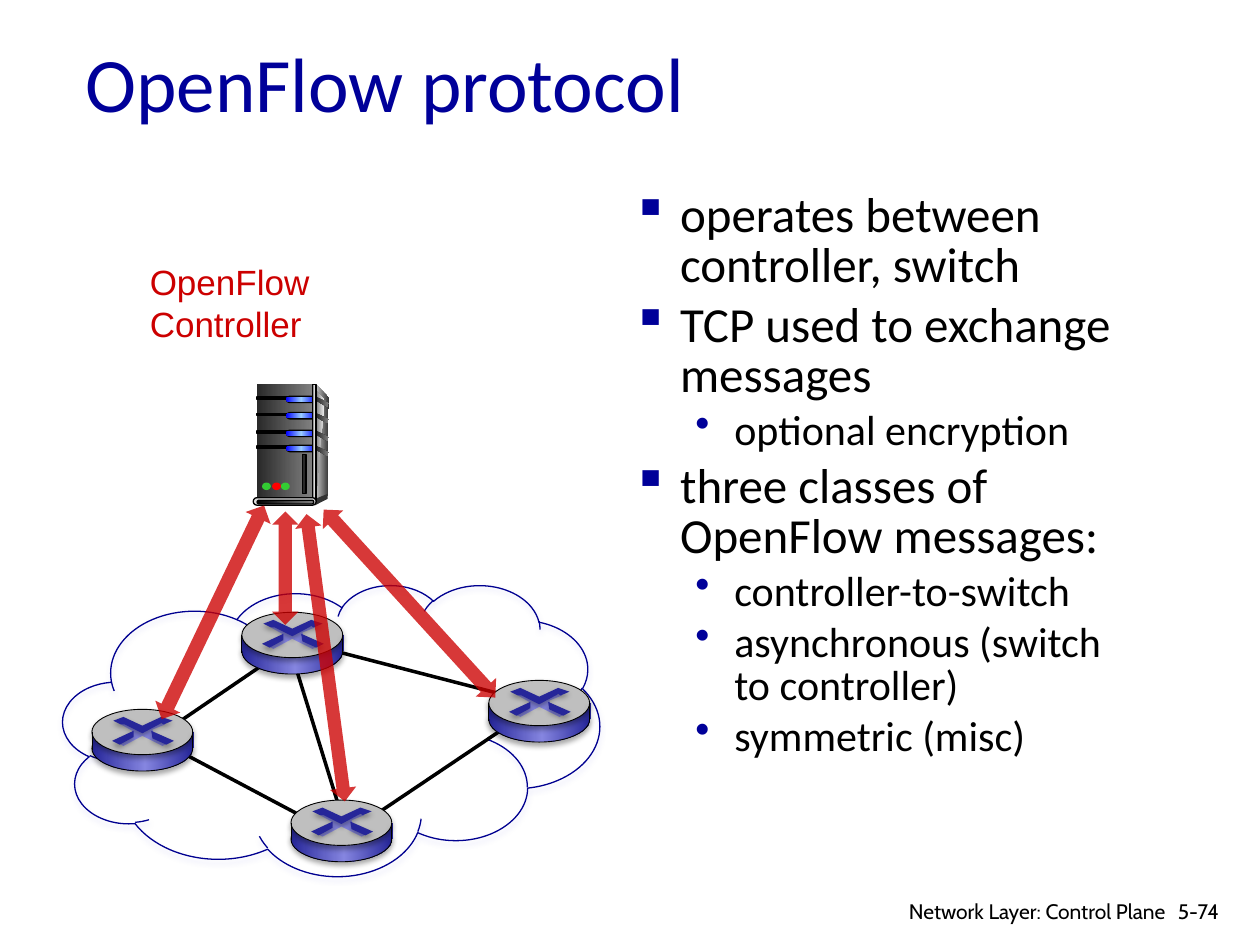
import pptx
import pptx.util
import pptx.dml.color
import pptx.enum.shapes
import pptx.enum.text
import pptx.oxml.ns
from lxml import etree

Inches = pptx.util.Inches
Pt = pptx.util.Pt
RGBColor = pptx.dml.color.RGBColor
qn = pptx.oxml.ns.qn
SHAPE = pptx.enum.shapes.MSO_SHAPE
ALIGN = pptx.enum.text.PP_ALIGN
ANCHOR = pptx.enum.text.MSO_ANCHOR

NAVY = RGBColor(0x00, 0x00, 0x99)
OUTLINE = RGBColor(0x00, 0x00, 0x90)
BLACK = RGBColor(0x00, 0x00, 0x00)
RED = RGBColor(0xCC, 0x00, 0x00)
ROUTER_DARK = RGBColor(0x26, 0x26, 0x99)
ROUTER_LIGHT = RGBColor(0x85, 0x85, 0xE0)
ROUTER_TOP = RGBColor(0xBF, 0xBF, 0xBF)
CLOUD_SHADOW = RGBColor(0xA5, 0xA5, 0xE9)
CHARCOAL = RGBColor(0x29, 0x29, 0x29)
DARK_GRAY = RGBColor(0x33, 0x33, 0x33)
GRAY = RGBColor(0x80, 0x80, 0x80)
SILVER = RGBColor(0xDD, 0xDD, 0xDD)
PALE = RGBColor(0xF8, 0xF8, 0xF8)
BLUE = RGBColor(0x00, 0x00, 0xFF)
SKY = RGBColor(0x99, 0xCC, 0xFF)
GREEN = RGBColor(0x33, 0xCC, 0x33)
LED_RED = RGBColor(0xFF, 0x00, 0x00)

# Gradients: (position in percent, colour)
FACE = [(0, CHARCOAL), (100, GRAY)]
ROUTER_SIDE = [(0, ROUTER_DARK), (53, ROUTER_LIGHT), (100, ROUTER_DARK)]
LIGHT_BAR = [(0, BLUE), (50, SKY), (100, BLUE)]
EDGE = [(0, DARK_GRAY), (50, SILVER), (100, DARK_GRAY)]

# Content: (level, text)
BULLETS = [
    (0, "operates between controller, switch"),
    (0, "TCP used to exchange messages"),
    (1, "optional encryption"),
    (0, "three classes of OpenFlow messages:"),
    (1, "controller-to-switch"),
    (1, "asynchronous (switch to controller)"),
    (1, "symmetric (misc)"),
]
LEVELS = [
    {"mark": "▪", "size": 28, "left": 0.38, "hang": 0.38},
    {"mark": "•", "size": 24, "left": 0.81, "hang": 0.31},
]
LABELS = [  # text, box, wrap, alignment, anchor, font
    ("OpenFlow protocol", (0.58, 0.02, 8.5, 1.25), True, ALIGN.LEFT, ANCHOR.MIDDLE,
     {"name": "Calibri", "size": Pt(44), "color": NAVY}),
    ("OpenFlow\vController", (1.09, 2.02, 2.69, 0.76), False, ALIGN.LEFT, ANCHOR.TOP,
     {"name": "Arial", "size": Pt(20), "color": RED}),
    ("5-74", (9.25, 7.08, 0.6, 0.3), True, ALIGN.LEFT, ANCHOR.TOP,
     {"name": "Cabin", "size": Pt(12), "color": BLACK}),
    ("Network Layer: Control Plane", (6.97, 7.08, 2.38, 0.26), True, ALIGN.RIGHT, ANCHOR.TOP,
     {"name": "Cabin", "size": Pt(12), "color": BLACK}),
]
LINKS = [(1.23, 5.86, 2.55, 4.96), (1.23, 5.86, 2.55, 6.56), (2.33, 5.24, 2.68, 6.37),
         (2.63, 5.16, 4.06, 5.53), (2.84, 6.56, 4.06, 5.74)]
ROUTERS = [(2.31, 6.35), (3.88, 5.40), (0.73, 5.63), (1.92, 4.86)]
ROUTER_MARKS = [  # points from the router's corner, colour, shadow
    ([(0.4, 0.21), (0.25, 0.29), (0.21, 0.27), (0.33, 0.22), (0.32, 0.17), (0.23, 0.12),
      (0.26, 0.11), (0.4, 0.17), (0.54, 0.11), (0.58, 0.12), (0.48, 0.16), (0.5, 0.23),
      (0.6, 0.27), (0.56, 0.29)], ROUTER_LIGHT, None),
    ([(0.17, 0.09), (0.25, 0.06), (0.4, 0.13), (0.55, 0.06), (0.64, 0.09), (0.57, 0.12),
      (0.55, 0.11), (0.4, 0.19), (0.26, 0.12), (0.23, 0.12)], ROUTER_DARK, BLACK),
    ([(0.47, 0.17), (0.65, 0.25), (0.59, 0.28), (0.48, 0.23)], ROUTER_DARK, BLACK),
    ([(0.33, 0.17), (0.33, 0.22), (0.22, 0.28), (0.16, 0.25)], ROUTER_DARK, BLACK),
]
RACK_ROWS = [3.15, 3.28, 3.42, 3.54]
SERVER_BASE = [  # preset, box, fill, line
    (SHAPE.RECTANGLE, (2.48, 3.05, 0.03, 0.92), EDGE, BLACK),
    (SHAPE.ROUNDED_RECTANGLE, (2.01, 3.95, 0.5, 0.06), SILVER, BLACK),
    (SHAPE.ROUNDED_RECTANGLE, (2.04, 3.97, 0.45, 0.03), [(0, BLACK), (100, GRAY)], BLACK),
    (SHAPE.OVAL, (2.08, 3.83, 0.07, 0.06), GREEN, None),
    (SHAPE.OVAL, (2.16, 3.83, 0.07, 0.06), LED_RED, None),
    (SHAPE.OVAL, (2.23, 3.83, 0.07, 0.06), GREEN, None),
    (SHAPE.RECTANGLE, (2.4, 3.61, 0.03, 0.31), CHARCOAL, BLACK),
]
ARROWS = [((2.48, 4.07, 0.21, 2.3), 352.4), ((2.16, 4.06, 0.21, 0.9), 0),
          ((3.14, 3.78, 0.22, 2.02), 317.6), ((1.58, 3.92, 0.22, 1.88), 25.6)]

presentation = pptx.Presentation()
presentation.slide_width, presentation.slide_height = Inches(10), Inches(7.5)
slide = presentation.slides.add_slide(presentation.slide_layouts[6])


def add_element(parent, tag, **attributes):
    return etree.SubElement(parent, qn(tag), {key: str(value) for key, value in attributes.items()})


def add_color(parent, color, alpha=100):
    element = add_element(parent, "a:srgbClr", val=color)
    if alpha < 100:
        add_element(element, "a:alpha", val=alpha * 1000)
    return element


def add_shadow(effects, color):
    outer = add_element(effects, "a:outerShdw", blurRad=Pt(3.1), dist=Pt(1.8),
                        dir=5400000, rotWithShape=0)
    add_color(outer, color, 35)


def style(shape, fill, line=None, width=0.75, shadow=None):
    properties = shape._element.spPr
    if fill is None:
        shape.fill.background()
    elif isinstance(fill, list):
        shape.fill.gradient()
        shape.fill.gradient_angle = 0
        stops = properties.find(qn("a:gradFill")).find(qn("a:gsLst"))
        for stop in list(stops):
            stops.remove(stop)
        for position, color in fill:
            add_color(add_element(stops, "a:gs", pos=position * 1000), color)
    else:
        shape.fill.solid()
        shape.fill.fore_color.rgb = fill
    if line is None:
        shape.line.fill.background()
    else:
        shape.line.color.rgb = line
        shape.line.width = Pt(width)
    shape.shadow.inherit = False
    if shadow is not None:
        add_shadow(properties.find(qn("a:effectLst")), shadow)
    return shape


def add_preset(preset, box, fill, line=None, **options):
    shape = slide.shapes.add_shape(preset, *map(Inches, box))
    if preset == SHAPE.ROUNDED_RECTANGLE:
        shape.adjustments[0] = 0.5
    return style(shape, fill, line, **options)


def add_outline(points, fill, shadow=None):
    corners = [(Inches(x), Inches(y)) for x, y in points]
    builder = slide.shapes.build_freeform(*corners[0], scale=1.0)
    builder.add_line_segments(corners[1:], close=True)
    style(builder.convert_to_shape(), fill, shadow=shadow)


def add_line(ends, width, shadow=None):
    connector = slide.shapes.add_connector(
        pptx.enum.shapes.MSO_CONNECTOR.STRAIGHT, *map(Inches, ends))
    connector.line.color.rgb = BLACK
    connector.line.width = Pt(width)
    effects = add_element(connector._element.spPr, "a:effectLst")
    if shadow is not None:
        add_shadow(effects, shadow)


def add_run(paragraph, text, font):
    paragraph.text = text
    for run in paragraph.runs:
        run.font.name, run.font.size = font["name"], font["size"]
        run.font.color.rgb = font["color"]


# Title, controller label and footer
for text, box, wrap, alignment, anchor, font in LABELS:
    frame = slide.shapes.add_textbox(*map(Inches, box)).text_frame
    frame.word_wrap, frame.vertical_anchor = wrap, anchor
    frame.paragraphs[0].alignment = alignment
    add_run(frame.paragraphs[0], text, font)

# Bullet list
frame = slide.shapes.add_textbox(*map(Inches, (4.92, 1.48, 4.17, 5.08))).text_frame
frame.word_wrap = True
for index, (level, text) in enumerate(BULLETS):
    paragraph = frame.add_paragraph() if index else frame.paragraphs[0]
    look = LEVELS[level]
    paragraph.level = level
    properties = paragraph._p.get_or_add_pPr()
    properties.set("marL", str(Inches(look["left"])))
    properties.set("indent", str(-Inches(look["hang"])))
    add_color(add_element(properties, "a:buClr"), NAVY)
    add_element(properties, "a:buChar", char=look["mark"])
    paragraph.line_spacing = 0.85
    if index:
        paragraph.space_before = Pt(look["size"] * 0.2)
    add_run(paragraph, text, {"name": "Calibri", "size": Pt(look["size"]), "color": BLACK})

# Network cloud and links
add_preset(SHAPE.CLOUD, (0.5, 4.64, 4.26, 2.31), None, OUTLINE, shadow=CLOUD_SHADOW)
for link in LINKS:
    add_line(link, 2)

# Server: side, front, rack rows, base and lamps
add_outline([(2.51, 3.05), (2.61, 3.16), (2.6, 3.93), (2.49, 3.97)],
            [(0, SILVER), (100, DARK_GRAY)])
add_preset(SHAPE.RECTANGLE, (2.04, 3.05, 0.44, 0.92), FACE)
add_outline([(2.51, 3.1), (2.58, 3.18), (2.54, 3.55), (2.51, 3.94)], [(0, GRAY), (100, PALE)])
for y in RACK_ROWS:
    add_preset(SHAPE.RECTANGLE, (2.04, y, 0.25, 0.02), BLACK, BLACK)
    add_preset(SHAPE.ROUNDED_RECTANGLE, (2.27, y - 0.01, 0.24, 0.06), BLACK)
    add_preset(SHAPE.ROUNDED_RECTANGLE, (2.27, y, 0.24, 0.04), LIGHT_BAR)
    add_outline([(2.51, y), (2.61, y + 0.05), (2.6, y + 0.08), (2.51, y + 0.03)], FACE)
add_outline([(2.5, 3.96), (2.5, 4.01), (2.6, 3.96), (2.6, 3.92)], DARK_GRAY)
for part in SERVER_BASE:
    add_preset(*part)

# Routers
for left, top in ROUTERS:
    add_preset(SHAPE.OVAL, (left, top + 0.13, 0.8, 0.36), ROUTER_SIDE, BLACK, width=0.5, shadow=BLACK)
    add_preset(SHAPE.RECTANGLE, (left, top + 0.18, 0.81, 0.13), ROUTER_SIDE)
    add_preset(SHAPE.OVAL, (left, top, 0.8, 0.36), ROUTER_TOP, BLACK, width=0.5, shadow=BLACK)
    for points, color, shadow in ROUTER_MARKS:
        add_outline([(left + x, top + y) for x, y in points], color, shadow)
    for x in (left, left + 0.8):
        add_line((x, top + 0.32, x, top + 0.18), 0.5, BLACK)

# Controller-to-router arrows
for box, rotation in ARROWS:
    arrow = add_preset(SHAPE.UP_DOWN_ARROW, box, RED)
    arrow.rotation = rotation
    add_element(arrow._element.spPr.find(qn("a:solidFill"))[0], "a:alpha", val=78000)

presentation.save("out.pptx")
